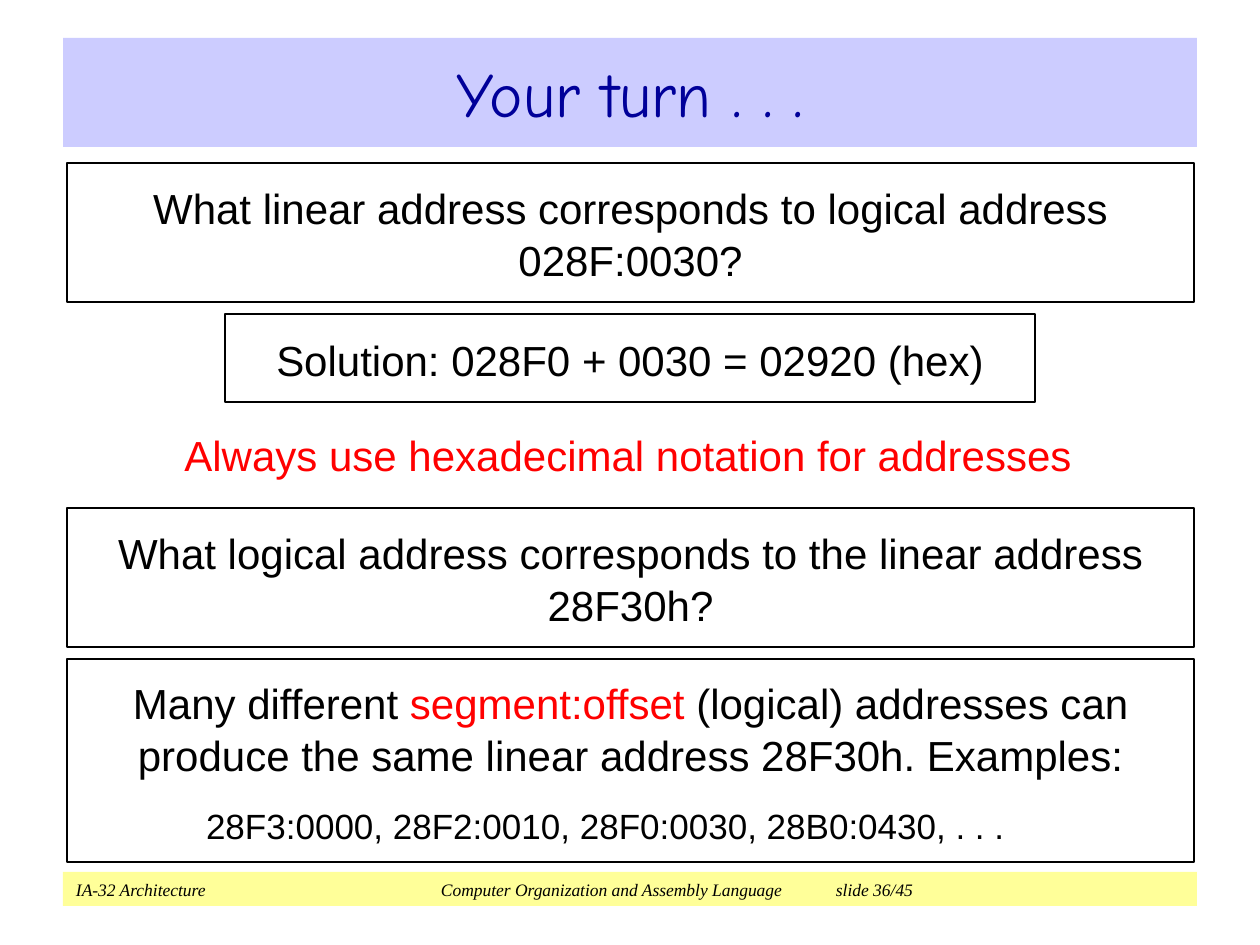
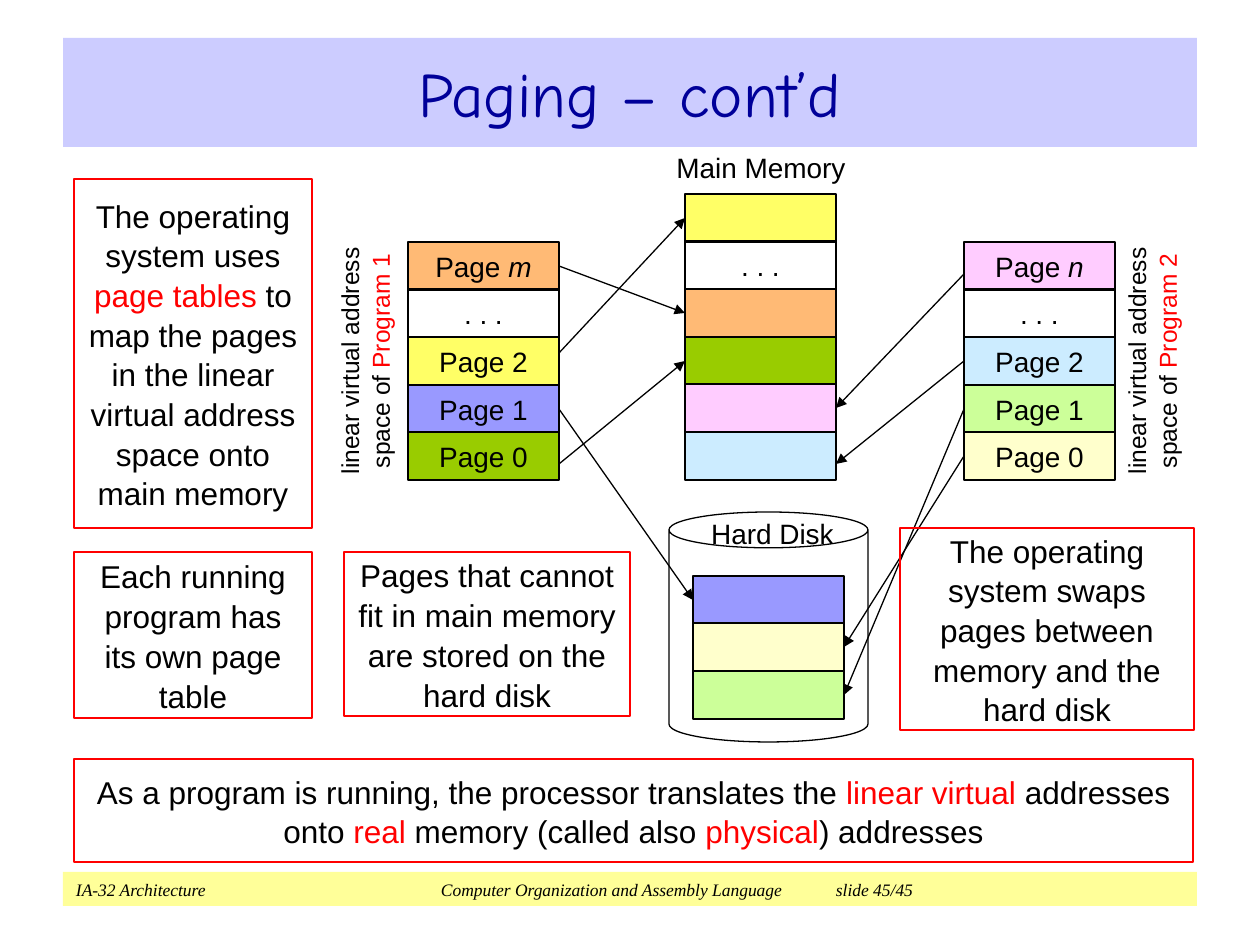
"""Builds two lecture slides on logical addresses and paging."""
import lxml.etree
import pptx
import pptx.dml.color
import pptx.enum.shapes
import pptx.enum.text
import pptx.oxml.ns
import pptx.util

RGB = pptx.dml.color.RGBColor
SHAPE = pptx.enum.shapes.MSO_SHAPE
ALIGN = pptx.enum.text.PP_ALIGN
MIDDLE = pptx.enum.text.MSO_ANCHOR.MIDDLE
qn = pptx.oxml.ns.qn

PX = 914400 / 126
BLACK = RGB(0x00, 0x00, 0x00)
RED = RGB(0xFF, 0x00, 0x00)
NAVY = RGB(0x00, 0x00, 0x99)
TITLE_BAND = RGB(0xCC, 0xCC, 0xFF)
FOOTER_BAND = RGB(0xFF, 0xFF, 0x99)
CREAM = RGB(0xFF, 0xFF, 0xCC)
LIME = RGB(0xCC, 0xFF, 0x99)
SKY = RGB(0xCC, 0xEC, 0xFF)
PINK = RGB(0xFF, 0xCC, 0xFF)
GREEN = RGB(0x99, 0xCC, 0x00)
VIOLET = RGB(0x99, 0x99, 0xFF)
YELLOW = RGB(0xFF, 0xFF, 0x66)
ORANGE = RGB(0xFF, 0xBA, 0x75)


def px(*values):
    return [pptx.util.Emu(round(v * PX)) for v in values]


def add_box(s, bounds, text="", size=18, line=None, width=0.75, fill=None,
            inset=13, kind=SHAPE.RECTANGLE):
    """Adds a text box or outlined shape; parts of text between stars are red."""
    if line is None and fill is None:
        sp = s.shapes.add_textbox(*px(*bounds))
    else:
        sp = s.shapes.add_shape(kind, *px(*bounds))
        sp.shadow.inherit = False
        if fill is None:
            sp.fill.background()
        else:
            sp.fill.solid()
            sp.fill.fore_color.rgb = fill
        if line is None:
            sp.line.fill.background()
        else:
            sp.line.color.rgb = line
            sp.line.width = pptx.util.Pt(width)
    tf = sp.text_frame
    tf.word_wrap = True
    tf.vertical_anchor = MIDDLE
    tf.margin_left, tf.margin_right, tf.margin_top, tf.margin_bottom = px(inset, inset, 0, 0)
    p = tf.paragraphs[0]
    p.alignment = ALIGN.CENTER
    p.line_spacing = 1.05
    for i, part in enumerate(text.split("*")):
        if part:
            r = p.add_run()
            r.text = part
            r.font.name = "Arial"
            r.font.size = pptx.util.Pt(size)
            r.font.color.rgb = RED if i % 2 else BLACK
    return sp


prs = pptx.Presentation()
prs.slide_width, prs.slide_height = px(1260, 945)

for title, number in [("Your turn . . .", 36), ("Paging – cont’d", 45)]:
    s = prs.slides.add_slide(prs.slide_layouts[5])
    sp = s.shapes.title
    sp.left, sp.top, sp.width, sp.height = px(63, 38, 1134, 109)
    sp.fill.solid()
    sp.fill.fore_color.rgb = TITLE_BAND
    sp.text_frame.text = title
    sp.text_frame.vertical_anchor = MIDDLE
    p = sp.text_frame.paragraphs[0]
    p.alignment = ALIGN.CENTER
    p.font.name = "Comic Neue"
    p.font.size = pptx.util.Pt(36)
    p.font.color.rgb = NAVY

    sp = add_box(s, (63, 872, 1134, 34), fill=FOOTER_BAND)
    p = sp.text_frame.paragraphs[0]
    p.alignment = ALIGN.LEFT
    tabs = lxml.etree.SubElement(p._p.get_or_add_pPr(), qn("a:tabLst"))
    for pos in px(365, 760):
        lxml.etree.SubElement(tabs, qn("a:tab"), pos=str(pos), algn="l")
    r = p.add_run()
    r.text = f"IA-32 Architecture\tComputer Organization and Assembly Language\tslide {number}/45"
    r.font.name = "Times New Roman"
    r.font.size = pptx.util.Pt(10)
    r.font.italic = True
    r.font.color.rgb = BLACK

turn, paging = prs.slides

for bounds, line, text in [
    ((67, 163, 1127, 139), BLACK, "What linear address corresponds to logical address 028F:0030?"),
    ((225, 314, 810, 88), BLACK, "Solution: 028F0 + 0030 = 02920 (hex)"),
    ((166, 409, 924, 88), None, "*Always use hexadecimal notation for addresses*"),
    ((67, 508, 1127, 139), BLACK, "What logical address corresponds to the linear address 28F30h?"),
    ((67, 659, 1127, 203), BLACK, "Many different *segment:offset* (logical) addresses can "
     "produce the same linear address 28F30h. Examples:"),
]:
    sp = add_box(turn, bounds, text, 24, line)
p = sp.text_frame.add_paragraph()
p.text = "28F3:0000, 28F2:0010, 28F0:0030, 28B0:0430, . . ."
p.alignment = ALIGN.LEFT
p.line_spacing = 1.05
p.space_before = pptx.util.Pt(12.5)
p._p.get_or_add_pPr().set("marL", str(px(126)[0]))
p.font.name = "Arial"
p.font.size = pptx.util.Pt(20)
p.font.color.rgb = BLACK

add_box(paging, (669, 512, 199, 230), line=BLACK, kind=SHAPE.CAN).adjustments[0] = 0.18

stacks = {}
for name, x, y, cells in [
    ("program 1", 408, 242, [("Page *m*", ORANGE), (". . .", None), ("Page 2", YELLOW),
                             ("Page 1", VIOLET), ("Page 0", GREEN)]),
    ("program 2", 964, 242, [("Page *n*", PINK), (". . .", None), ("Page 2", SKY),
                             ("Page 1", LIME), ("Page 0", CREAM)]),
    ("memory", 685, 194, [("", YELLOW), (". . .", None), ("", ORANGE),
                          ("", GREEN), ("", PINK), ("", SKY)]),
    ("disk", 693, 576, [("", VIOLET), ("", CREAM), ("", LIME)]),
]:
    stacks[name] = []
    for i, (text, fill) in enumerate(cells):
        sp = add_box(paging, (x, y + i * 143 // 3, 151, 48), text, 16, BLACK, fill=fill)
        for r in sp.text_frame.paragraphs[0].runs[1:]:
            r.font.italic = True
            r.font.color.rgb = BLACK
        stacks[name].append(sp)

for program, page, store, frame, page_dy, frame_dy in [
    ("program 1", 2, "memory", 0, -8, 0),
    ("program 1", 0, "memory", 2, 0, 0),
    ("program 1", 4, "memory", 3, 8, 0),
    ("program 2", 0, "memory", 4, 8, 0),
    ("program 2", 2, "memory", 5, 0, 8),
    ("program 2", 4, "disk", 1, 0, 0),
    ("program 2", 3, "disk", 2, 0, 0),
    ("program 1", 3, "disk", 0, 0, 0),
]:
    a, b = stacks[program][page], stacks[store][frame]
    rightward = program == "program 1"
    x1, x2 = (a.left + a.width, b.left) if rightward else (a.left, b.left + b.width)
    y1 = a.top + a.height // 2 + px(page_dy)[0]
    y2 = b.top + b.height // 2 + px(frame_dy)[0]
    c = paging.shapes.add_connector(pptx.enum.shapes.MSO_CONNECTOR.STRAIGHT, x1, y1, x2, y2)
    if page_dy == 0:
        c.begin_connect(a, 3 if rightward else 1)
    if frame_dy == 0:
        c.end_connect(b, 1 if rightward else 3)
    c.line.color.rgb = BLACK
    c.line.width = pptx.util.Pt(0.75)
    lxml.etree.SubElement(c.line._get_or_add_ln(), qn("a:tailEnd"), type="triangle")
    lxml.etree.SubElement(c._element.spPr, qn("a:effectLst"))

add_box(paging, (630, 147, 262, 39), "Main Memory", 16)
add_box(paging, (685, 513, 175, 39), "Hard Disk", 16)
for x, program in [(229, "Program 1"), (1016, "Program 2")]:
    sp = add_box(paging, (x, 325, 270, 72), f"linear virtual address space of *{program}*", 14, inset=10)
    sp.rotation = 270

for bounds, inset, text in [
    ((74, 179, 238, 349), 13, "The operating system uses *page tables* to map the pages "
     "in the linear virtual address space onto main memory"),
    ((74, 552, 238, 166), 13, "Each running program has its own page table"),
    ((344, 552, 286, 164), 13, "Pages that cannot fit in main memory are stored on the hard disk"),
    ((900, 528, 294, 202), 5, "The operating system swaps pages between memory and the hard disk"),
    ((74, 759, 1119, 103), 13, "As a program is running, the processor translates the "
     "*linear virtual* addresses onto *real* memory (called also *physical*) addresses"),
]:
    add_box(paging, bounds, text, 18, RED, 1.5, inset=inset)

prs.save("out.pptx")
